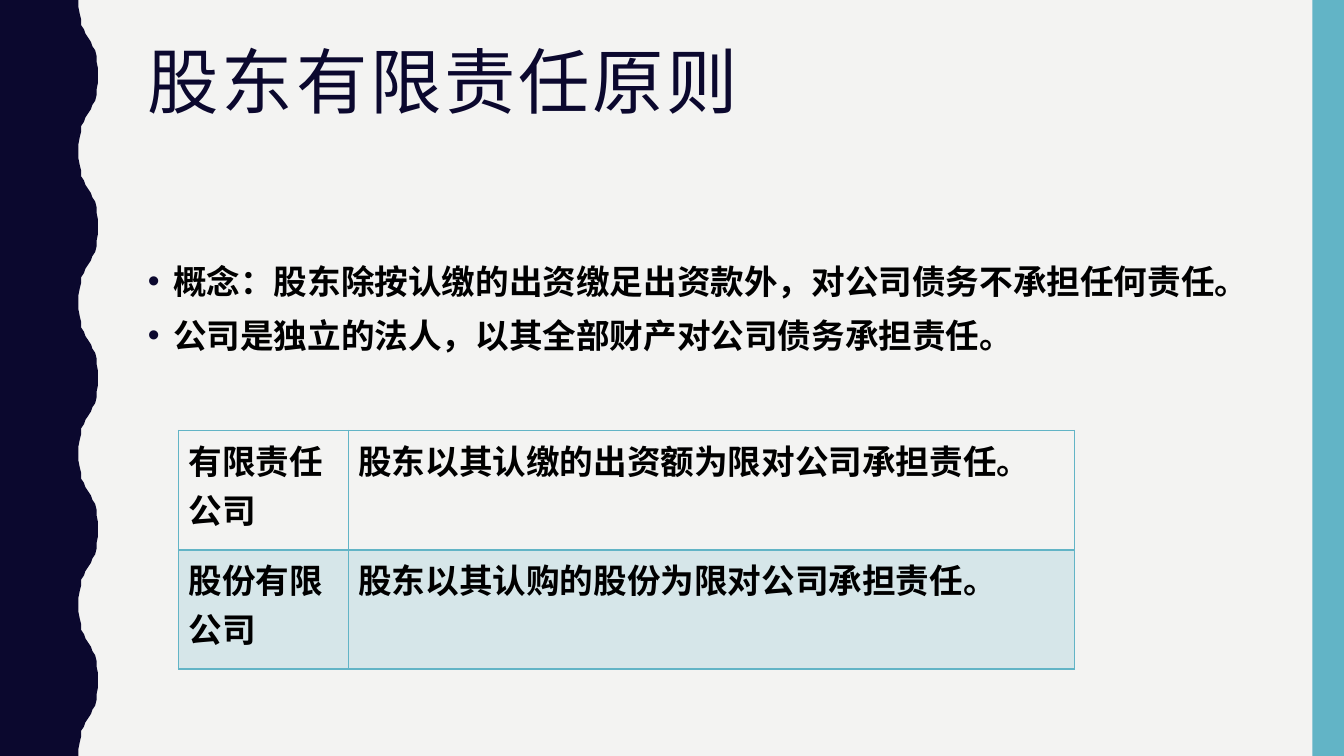
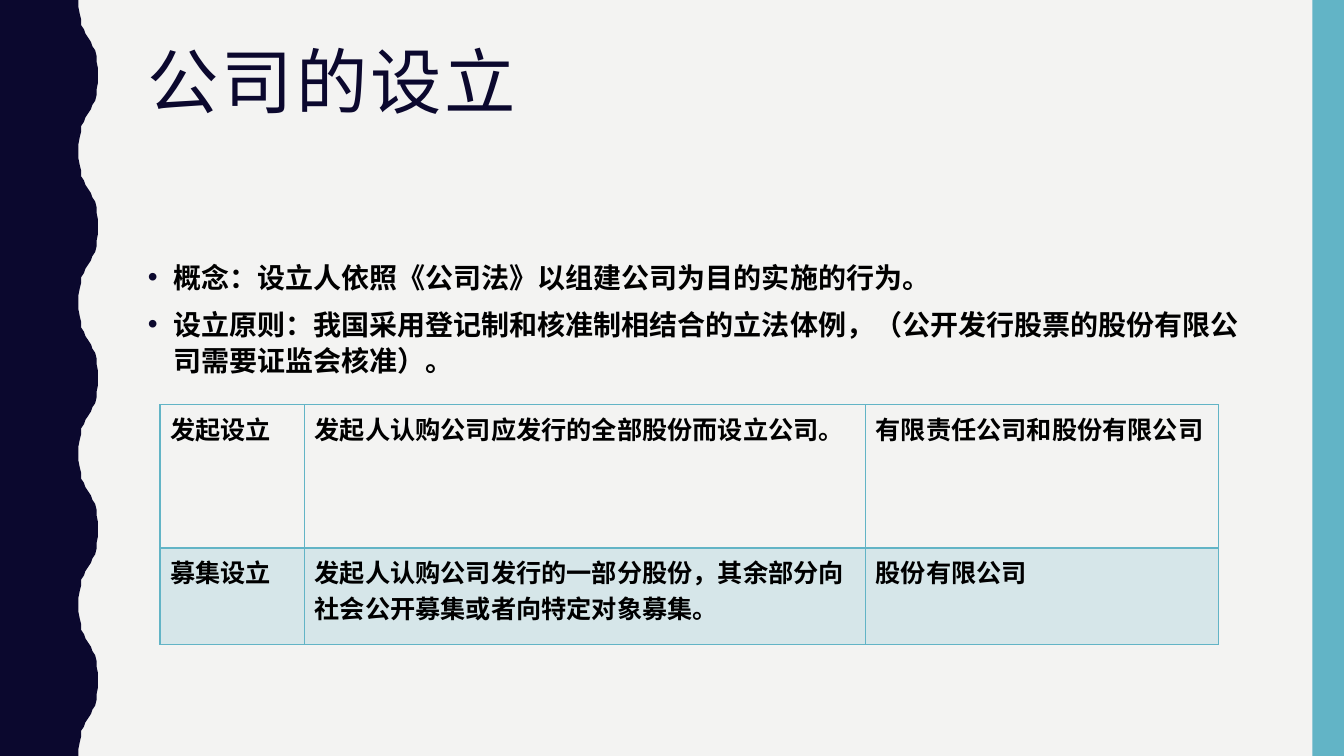
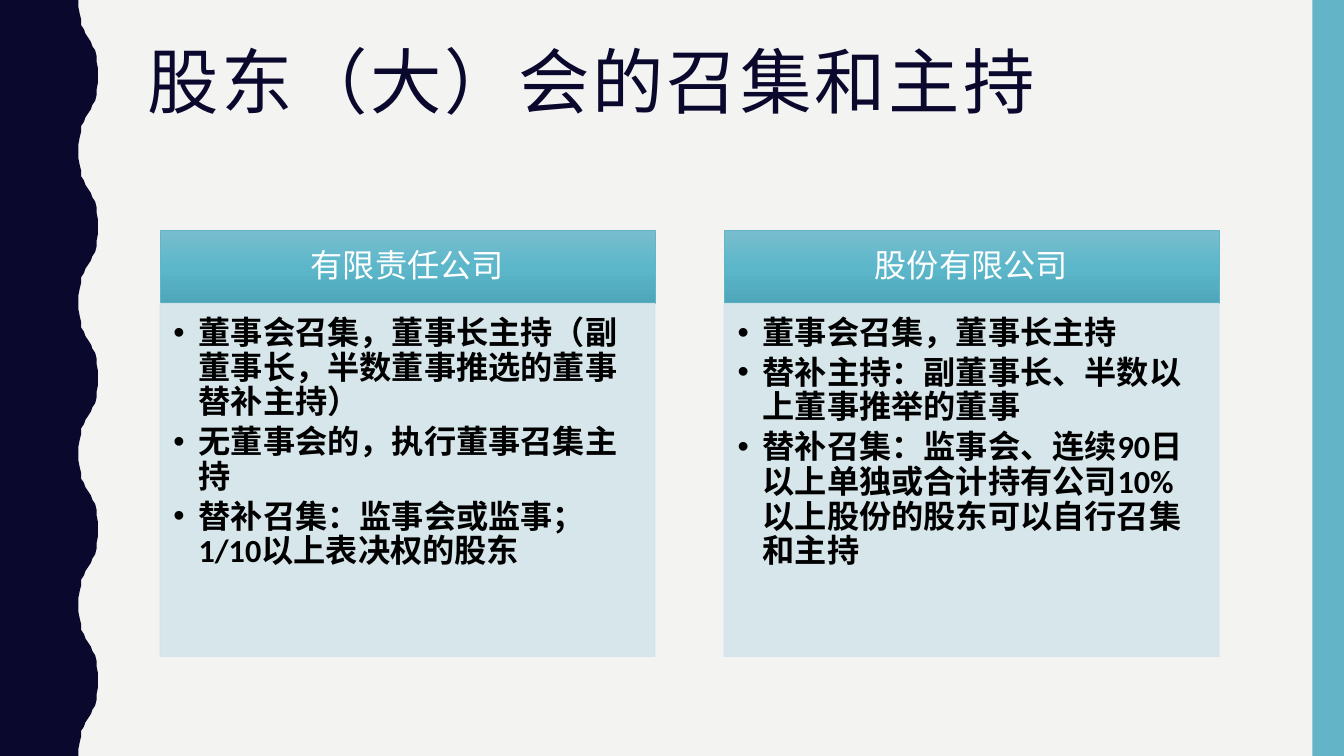
from copy import deepcopy

from lxml import etree
from pptx import Presentation
from pptx.dml.color import RGBColor
from pptx.enum import shapes, text
from pptx.oxml.ns import qn
from pptx.util import Pt

COLORS = {
    "bg": "F3F3F2", "navy": "0B082E", "teal": "62B4C6", "pale": "D3E5EA",
    "black": "000000", "white": "FFFFFF",
}
C = {name: RGBColor.from_string(value) for name, value in COLORS.items()}
HEADER_STOPS = [(0, "78BDCD"), (0.5, "5DB7CB"), (1, "4DA6BA")]
W, H = 960, 540
BODY_FONT, TITLE_FONT = "Calibri", "Roboto Condensed"

# Half a wave of the left band: (distance right, distance down)
WAVE_X, WAVE_W, WAVE_H = 56.2, 13.8, 108
HALF_WAVE = [
    (0, 0), (0.2, 5), (0.8, 10), (1.4, 14.4), (2.2, 18), (3.6, 21), (5, 24),
    (6.9, 27), (8.8, 30), (10.2, 33), (11.6, 36), (12.4, 39.6), (13, 44),
    (13.6, 49), (WAVE_W, 54),
]


def set_alpha(element, percent):
    """Make every RGB colour inside the element partly transparent."""
    for color in element.iter(qn("a:srgbClr")):
        etree.SubElement(color, qn("a:alpha"), val=str(percent * 1000))


def write(tf, lines, size, color="black", bold=True, spacing=None,
          before=0, after=0, bullet=None):
    """Fill a text frame with one paragraph a line; bullet names its colour."""
    tf.word_wrap = True
    for i, line in enumerate(lines):
        p = tf.add_paragraph() if i else tf.paragraphs[0]
        p.text = line
        if bullet:
            pPr = p._p.get_or_add_pPr()
            pPr.set("marL", str(Pt(18)))
            pPr.set("indent", str(-Pt(18)))
            bu_color = etree.SubElement(pPr, qn("a:buClr"))
            etree.SubElement(bu_color, qn("a:srgbClr"), val=COLORS[bullet])
            etree.SubElement(pPr, qn("a:buFont"), typeface="Arial")
            etree.SubElement(pPr, qn("a:buChar"), char="•")
        if spacing:
            p.line_spacing = spacing
        p.space_before = Pt(before if i else 0)
        p.space_after = Pt(after)
        f = p.runs[0].font
        f.name, f.size, f.bold, f.color.rgb = BODY_FONT, Pt(size), bold, C[color]


prs = Presentation()
prs.slide_width, prs.slide_height = Pt(W), Pt(H)

# Background, bands and title of every slide
slides = []
for title in ["股东有限责任原则", "公司的设立", "股东（大）会的召集和主持"]:
    s = prs.slides.add_slide(prs.slide_layouts[6])
    slides.append(s)
    s.background.fill.solid()
    s.background.fill.fore_color.rgb = C["bg"]

    outline = []
    for top in range(0, H, WAVE_H):
        outline += [(WAVE_X + x, top + y) for x, y in HALF_WAVE]
        outline += [(WAVE_X + x, top + WAVE_H - y) for x, y in HALF_WAVE[-2::-1]]
    builder = s.shapes.build_freeform(0, 0, scale=Pt(1))
    builder.add_line_segments(outline + [(0, H)], close=True)
    wave = builder.convert_to_shape()
    stripe = s.shapes.add_shape(shapes.MSO_SHAPE.RECTANGLE,
                                Pt(937.5), 0, Pt(22.5), Pt(H))
    for band, color in [(wave, "navy"), (stripe, "teal")]:
        band.shadow.inherit = False
        band.fill.solid()
        band.fill.fore_color.rgb = C[color]
        band.line.fill.background()

    box = s.shapes.add_textbox(Pt(98.5), Pt(30), Pt(801.5), Pt(117.5))
    write(box.text_frame, [title], 51, "navy", bold=False, spacing=0.9)
    r = box.text_frame.paragraphs[0].runs[0]
    r.font.name = TITLE_FONT
    r._r.get_or_add_rPr().set("spc", "200")

# Slides 1 and 2: bullets above a table
table_slides = [
    dict(
        size=24, bullets=[
            "概念：股东除按认缴的出资缴足出资款外，对公司债务不承担任何责任。",
            "公司是独立的法人，以其全部财产对公司债务承担责任。",
        ],
        left=127.5, top=307.5, cols=[121.2, 518.8], rows=[85.2, 85.2],
        cell_size=24, cells=[
            ["有限责任公司", "股东以其认缴的出资额为限对公司承担责任。"],
            ["股份有限公司", "股东以其认购的股份为限对公司承担责任。"],
        ],
    ),
    dict(
        size=20, bullets=[
            "概念：设立人依照《公司法》以组建公司为目的实施的行为。",
            "设立原则：我国采用登记制和核准制相结合的立法体例，"
            "（公开发行股票的股份有限公司需要证监会核准）。",
        ],
        left=114.3, top=289.2, cols=[103.3, 400.7, 252], rows=[102.4, 68.8],
        cell_size=18, cells=[
            ["发起设立", "发起人认购公司应发行的全部股份而设立公司。",
             "有限责任公司和股份有限公司"],
            ["募集设立",
             "发起人认购公司发行的一部分股份，其余部分向社会公开募集或者向特定对象募集。",
             "股份有限公司"],
        ],
    ),
]
for s, d in zip(slides, table_slides):
    box = s.shapes.add_textbox(Pt(98.5), Pt(180), Pt(801.5), Pt(283))
    write(box.text_frame, d["bullets"], d["size"], spacing=1.1, before=7,
          bullet="navy")

    cols, rows = d["cols"], d["rows"]
    table = s.shapes.add_table(len(rows), len(cols), Pt(d["left"]), Pt(d["top"]),
                               Pt(sum(cols)), Pt(sum(rows))).table
    table.first_row = table.horz_banding = False
    for col, width in zip(table.columns, cols):
        col.width = Pt(width)
    for i, (row, height) in enumerate(zip(table.rows, rows)):
        row.height = Pt(height)
        for cell, words in zip(row.cells, d["cells"][i]):
            write(cell.text_frame, [words], d["cell_size"])
            tcPr = cell._tc.get_or_add_tcPr()
            for side in "LRTB":
                width = 2 if i == 0 and side == "B" else 1
                ln = etree.SubElement(tcPr, qn("a:ln" + side), w=str(Pt(width)))
                solid = etree.SubElement(ln, qn("a:solidFill"))
                etree.SubElement(solid, qn("a:srgbClr"), val=COLORS["teal"])
            if i == 0:
                cell.fill.background()
            else:
                cell.fill.solid()
                cell.fill.fore_color.rgb = C["teal"]
                set_alpha(tcPr.find(qn("a:solidFill")), 20)

# Slide 3: two columns, each a header over a list
columns = [
    ("有限责任公司", [
        "董事会召集，董事长主持（副董事长，半数董事推选的董事替补主持）",
        "无董事会的，执行董事召集主持",
        "替补召集：监事会或监事；1/10以上表决权的股东",
    ]),
    ("股份有限公司", [
        "董事会召集，董事长主持",
        "替补主持：副董事长、半数以上董事推举的董事",
        "替补召集：监事会、连续90日以上单独或合计持有公司10%以上股份的股东可以自行召集和主持",
    ]),
]
COL_LEFT, COL_TOP, COL_W, COL_STEP = 114.3, 164.6, 353.6, 402.9
HEADER_H, LIST_H = 52, 252.4
for i, (heading, points) in enumerate(columns):
    left = COL_LEFT + i * COL_STEP
    header, panel = [
        slides[2].shapes.add_shape(shapes.MSO_SHAPE.RECTANGLE, Pt(left), Pt(top),
                                   Pt(COL_W), Pt(height))
        for top, height in [(COL_TOP, HEADER_H), (COL_TOP + HEADER_H, LIST_H)]
    ]
    for sp, color in [(header, "teal"), (panel, "pale")]:
        sp.shadow.inherit = False
        sp.line.color.rgb = C[color]
        sp.line.width = Pt(0.5)

    header.fill.gradient()
    header.fill.gradient_angle = 270
    stop_list = next(header._element.spPr.iter(qn("a:gsLst")))
    stop_list.append(deepcopy(stop_list[0]))
    for stop, (position, color) in zip(header.fill.gradient_stops, HEADER_STOPS):
        stop.position = position
        stop.color.rgb = RGBColor.from_string(color)
    tf = header.text_frame
    tf.margin_left = tf.margin_right = Pt(12.8)
    tf.margin_top = tf.margin_bottom = Pt(7.2)
    tf.vertical_anchor = text.MSO_ANCHOR.MIDDLE
    write(tf, [heading], 23, "white", bold=False, spacing=0.9)
    tf.paragraphs[0].alignment = text.PP_ALIGN.CENTER

    panel.fill.solid()
    panel.fill.fore_color.rgb = C["pale"]
    set_alpha(panel._element.spPr, 90)
    tf = panel.text_frame
    tf.margin_left = tf.margin_top = Pt(9.6)
    tf.margin_right, tf.margin_bottom = Pt(12.8), Pt(14.4)
    tf.vertical_anchor = text.MSO_ANCHOR.TOP
    write(tf, points, 23, spacing=0.9, after=3.5, bullet="black")
    for p in tf.paragraphs:
        p.alignment = text.PP_ALIGN.LEFT

prs.save("out.pptx")
